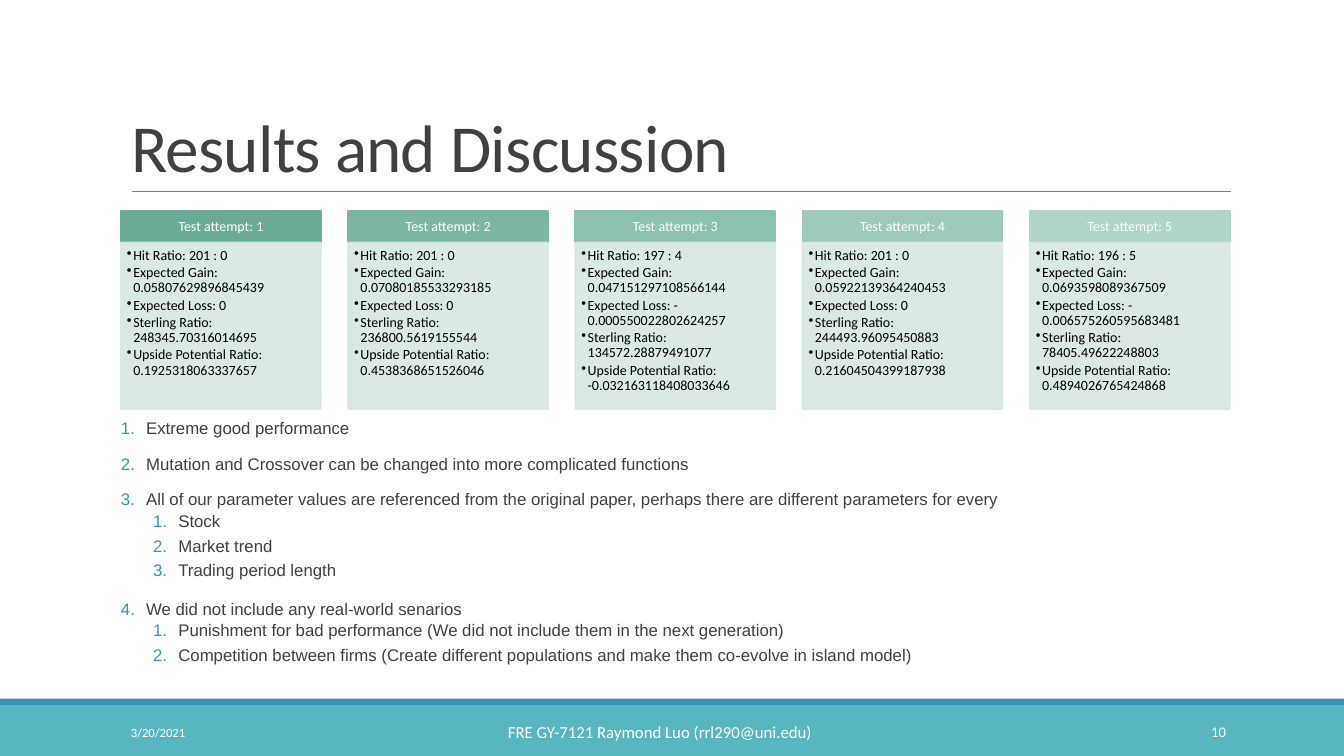
from lxml import etree
from pptx import Presentation
from pptx.dml.color import RGBColor
from pptx.enum.shapes import MSO_CONNECTOR, MSO_SHAPE
from pptx.enum.text import MSO_ANCHOR, MSO_AUTO_SIZE, PP_ALIGN
from pptx.oxml import parse_xml
from pptx.oxml.ns import nsdecls, qn
from pptx.util import Pt

RECT, STRAIGHT = MSO_SHAPE.RECTANGLE, MSO_CONNECTOR.STRAIGHT
TOP, MIDDLE, BOTTOM = MSO_ANCHOR.TOP, MSO_ANCHOR.MIDDLE, MSO_ANCHOR.BOTTOM
LEFT, CENTER, RIGHT = PP_ALIGN.LEFT, PP_ALIGN.CENTER, PP_ALIGN.RIGHT
NO_FIT = MSO_AUTO_SIZE.NONE


def rgb(value):
    return RGBColor.from_string(value)


def write(sp, lines, size, color, align=LEFT, anchor=TOP, font="Calibri",
          insets=(7.2, 3.6, 7.2, 3.6), spacing=1.0, after=0):
    """Fill a shape with paragraphs in one format."""
    tf = sp.text_frame
    tf.text = "\n".join(lines)
    tf.word_wrap = True
    tf.auto_size = NO_FIT
    tf.vertical_anchor = anchor
    tf.margin_left, tf.margin_top, tf.margin_right, tf.margin_bottom = map(Pt, insets)
    for p in tf.paragraphs:
        p.alignment = align
        p.line_spacing = spacing
        p.space_before, p.space_after = Pt(0), Pt(after)
        f = p.runs[0].font
        f.name, f.size, f.color.rgb = font, Pt(size), rgb(color)
    return tf


prs = Presentation()
prs.slide_width, prs.slide_height = Pt(960), Pt(540)
s = prs.slides.add_slide(prs.slide_layouts[1])
title, body = s.placeholders

# Footer bands: top, height, colour
bands = [(504, 36, "58B6C0"), (499, 5, "3494BA")]
for top, height, color in bands:
    sp = s.shapes.add_shape(RECT, Pt(0), Pt(top), Pt(960), Pt(height))
    sp.shadow.inherit = False
    sp.fill.solid()
    sp.fill.fore_color.rgb = rgb(color)
    sp.line.fill.background()

# Title and rule
title.left, title.top, title.width, title.height = Pt(86.4), Pt(22.5), Pt(792), Pt(114.3)
tf = write(title, ["Results and Discussion"], 48, "404040", anchor=BOTTOM, spacing=0.85)
tf.paragraphs[0].runs[0].font._element.set("spc", "-50")
rule = s.shapes.add_connector(STRAIGHT, Pt(94.3), Pt(136.8), Pt(879), Pt(136.8))
rule.line.color.rgb = rgb("808080")
rule.line.width = Pt(0.5)
etree.SubElement(rule._element.spPr, qn("a:effectLst"))

# Test attempt cards
labels = ["Hit Ratio", "Expected Gain", "Expected Loss", "Sterling Ratio",
          "Upside Potential Ratio"]
attempts = [
    ("6AAC98", ["201 : 0", "0.05807629896845439", "0", "248345.70316014695",
                "0.1925318063337657"]),
    ("7BB6A3", ["201 : 0", "0.07080185533293185", "0", "236800.5619155544",
                "0.4538368651526046"]),
    ("8CC0AF", ["197 : 4", "0.047151297108566144", "- 0.000550022802624257",
                "134572.28879491077", "-0.032163118408033646"]),
    ("9ECABB", ["201 : 0", "0.05922139364240453", "0", "244493.96095450883",
                "0.21604504399187938"]),
    ("AFD4C8", ["196 : 5", "0.0693598089367509", "- 0.006575260595683481",
                "78405.49622248803", "0.4894026765424868"]),
]
for i, (color, values) in enumerate(attempts):
    left = 86.4 + 162.3 * i
    head = s.shapes.add_shape(RECT, Pt(left), Pt(150.5), Pt(142.8), Pt(22.6))
    card = s.shapes.add_shape(RECT, Pt(left), Pt(173.2), Pt(142.8), Pt(119))
    for sp, fill in ((head, color), (card, "D6E8E1")):
        sp.shadow.inherit = False
        sp.fill.solid()
        sp.fill.fore_color.rgb = rgb(fill)
        sp.line.color.rgb = rgb(fill)
        sp.line.width = Pt(1.25)
    for clr in card._element.spPr.iter(qn("a:srgbClr")):
        etree.SubElement(clr, qn("a:alpha"), val="90000")
    write(head, [f"Test attempt: {i + 1}"], 10, "FFFFFF", CENTER, MIDDLE,
          insets=(5.6, 3.2, 5.6, 3.2), spacing=0.9)
    facts = [f"{label}: {value}" for label, value in zip(labels, values)]
    tf = write(card, facts, 10, "000000", insets=(4.3, 4.3, 5.7, 6.4),
               spacing=0.9, after=1.5)
    for p in tf.paragraphs:
        pPr = p._p.get_or_add_pPr()
        pPr.set("marL", str(Pt(4.5)))
        pPr.set("indent", str(Pt(-4.5)))
        pPr.append(parse_xml(f'<a:buChar {nsdecls("a")} char="•"/>'))

# Numbered discussion: level, text
points = [
    (0, "Extreme good performance"),
    (0, "Mutation and Crossover can be changed into more complicated functions"),
    (0, "All of our parameter values are referenced from the original paper, "
        "perhaps there are different parameters for every"),
    (1, "Stock"),
    (1, "Market trend"),
    (1, "Trading period length"),
    (0, "We did not include any real-world senarios"),
    (1, "Punishment for bad performance (We did not include them in the next generation)"),
    (1, "Competition between firms (Create different populations and make them "
        "co-evolve in island model)"),
]
body.left, body.top, body.width, body.height = Pt(86.4), Pt(297.4), Pt(792), Pt(164)
tf = write(body, [text for level, text in points], 12, "404040", font="Arial",
           insets=(0, 3.6, 0, 3.6), spacing=0.8)
for p, (level, text) in zip(tf.paragraphs, points):
    p.level = level
    p.space_before, p.space_after = (Pt(2), Pt(4)) if level else (Pt(12), Pt(2))
    pPr = p._p.get_or_add_pPr()
    pPr.set("marL", str(Pt(41 if level else 18)))
    pPr.set("indent", str(Pt(-18)))
    pPr.append(parse_xml(f'<a:buClr {nsdecls("a")}><a:srgbClr val="3494BA"/></a:buClr>'))
    pPr.append(parse_xml(f'<a:buFont {nsdecls("a")} typeface="+mj-lt"/>'))
    pPr.append(parse_xml(f'<a:buAutoNum {nsdecls("a")} type="arabicPeriod"/>'))

# Footer texts: left, top, width, height, text, size, alignment
footers = [
    (86.4, 508.5, 194.4, 28.8, "3/20/2021", 9, LEFT),
    (779.8, 508.5, 103, 28.8, "10", 10.5, RIGHT),
    (355.7, 512, 240, 22, "FRE GY-7121 Raymond Luo (rrl290@uni.edu)", 12, LEFT),
]
for left, top, width, height, text, size, align in footers:
    sp = s.shapes.add_textbox(Pt(left), Pt(top), Pt(width), Pt(height))
    write(sp, [text], size, "FFFFFF", align, MIDDLE)

prs.save("out.pptx")
